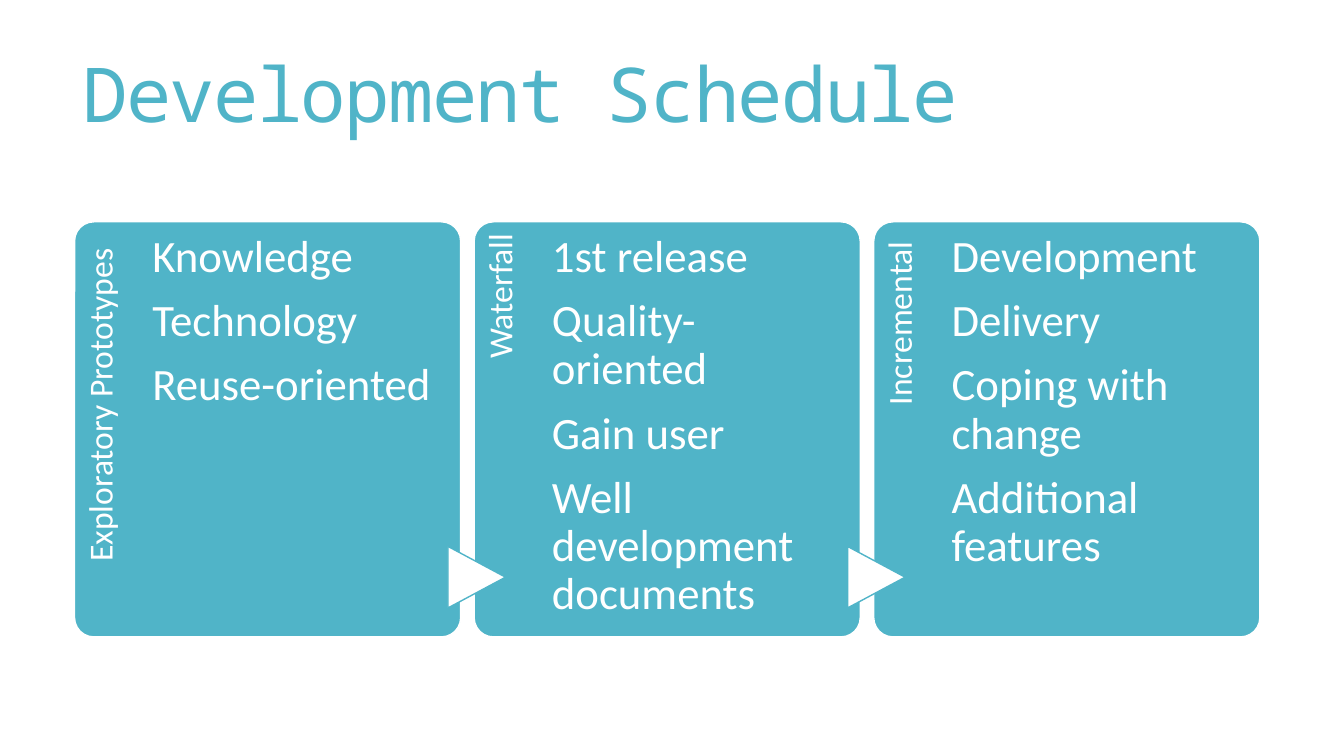
from dataclasses import dataclass

from pptx import Presentation
from pptx.dml.color import RGBColor
from pptx.enum.shapes import MSO_SHAPE as Preset
from pptx.enum.text import MSO_ANCHOR as Anchor, PP_ALIGN as Align
from pptx.util import Cm, Pt


@dataclass(frozen=True)
class Theme:
    teal: RGBColor = RGBColor(0x50, 0xB4, 0xC8)
    white: RGBColor = RGBColor(0xFF, 0xFF, 0xFF)
    title_font: str = "Noto Sans Mono"
    body_font: str = "Calibri"
    title_size: float = 54
    label_size: float = 24
    body_size: float = 32


theme = Theme()

# Phase name, space after the name in cm, activities
PHASES = [
    ("Exploratory Prototypes", 0.68, ["Knowledge", "Technology", "Reuse-oriented"]),
    ("Waterfall", 0.3, ["1st release", "Quality-oriented", "Gain user",
                        "Well development documents"]),
    ("Incremental", 0.49, ["Development", "Delivery", "Coping with change",
                           "Additional features"]),
]
CARD_LEFT, CARD_TOP, CARD_WIDTH, CARD_HEIGHT = 1.88, 5.59, 9.73, 10.46
CARD_PITCH = 10.07
LABEL_LENGTH, LABEL_DEPTH = 8.58, 1.96
ARROW_WIDTH, ARROW_HEIGHT = 1.55, 1.45

prs = Presentation()
prs.slide_width, prs.slide_height = Cm(33.87), Cm(19.05)
slide = prs.slides.add_slide(prs.slide_layouts[6])


def add_text(box, lines, insets, font, size, color, spacing=0.9, after=0, align=Align.LEFT):
    """Add a text box; box is left, top, width, height and insets are
    left, top, right, bottom, all in cm. Return the box."""
    holder = slide.shapes.add_textbox(*map(Cm, box))
    frame = holder.text_frame
    frame.word_wrap = True
    frame.vertical_anchor = Anchor.TOP
    (frame.margin_left, frame.margin_top,
     frame.margin_right, frame.margin_bottom) = map(Cm, insets)
    for index, line in enumerate(lines):
        paragraph = frame.add_paragraph() if index else frame.paragraphs[0]
        paragraph.alignment = align
        paragraph.line_spacing = spacing
        paragraph.space_after = Pt(after)
        run = paragraph.add_run()
        run.text = line
        run.font.name = font
        run.font.size = Pt(size)
        run.font.color.rgb = color
    return holder


def add_filled(preset, box, fill, line):
    shape = slide.shapes.add_shape(preset, *map(Cm, box))
    shape.shadow.inherit = False
    shape.fill.solid()
    shape.fill.fore_color.rgb = fill
    shape.line.color.rgb = line
    shape.line.width = Pt(1)
    return shape


title = add_text((1.83, 1.4, 29.92, 4.6), ["Development Schedule"], (0.25, 0.13, 0.25, 0.13),
                 theme.title_font, theme.title_size, theme.teal, spacing=0.85)
title_run = title.text_frame.paragraphs[0].runs[0]
title_run._r.get_or_add_rPr().set("spc", "-120")

for index, (phase, name_gap, activities) in enumerate(PHASES):
    left = CARD_LEFT + index * CARD_PITCH
    card = add_filled(Preset.ROUNDED_RECTANGLE, (left, CARD_TOP, CARD_WIDTH, CARD_HEIGHT),
                      theme.teal, theme.white)
    card.adjustments[0] = 0.05

    # Turned about its centre, the label fills the card's left edge from the top
    turn = (LABEL_LENGTH - LABEL_DEPTH) / 2
    label = add_text((left - turn, CARD_TOP + turn, LABEL_LENGTH, LABEL_DEPTH), [phase],
                     (0, 0.23, name_gap, 0), theme.body_font, theme.label_size,
                     theme.white, align=Align.RIGHT)
    label.rotation = 270

    if index:
        arrow = add_filled(Preset.FLOWCHART_EXTRACT,
                           (left - 0.71, 13.82, ARROW_WIDTH, ARROW_HEIGHT),
                           theme.white, theme.teal)
        arrow.rotation = 90

    add_text((left + LABEL_DEPTH, CARD_TOP, 7.24, CARD_HEIGHT), activities, (0, 0.3, 0, 0),
             theme.body_font, theme.body_size, theme.white, after=0.35 * theme.body_size)

prs.save("out.pptx")
